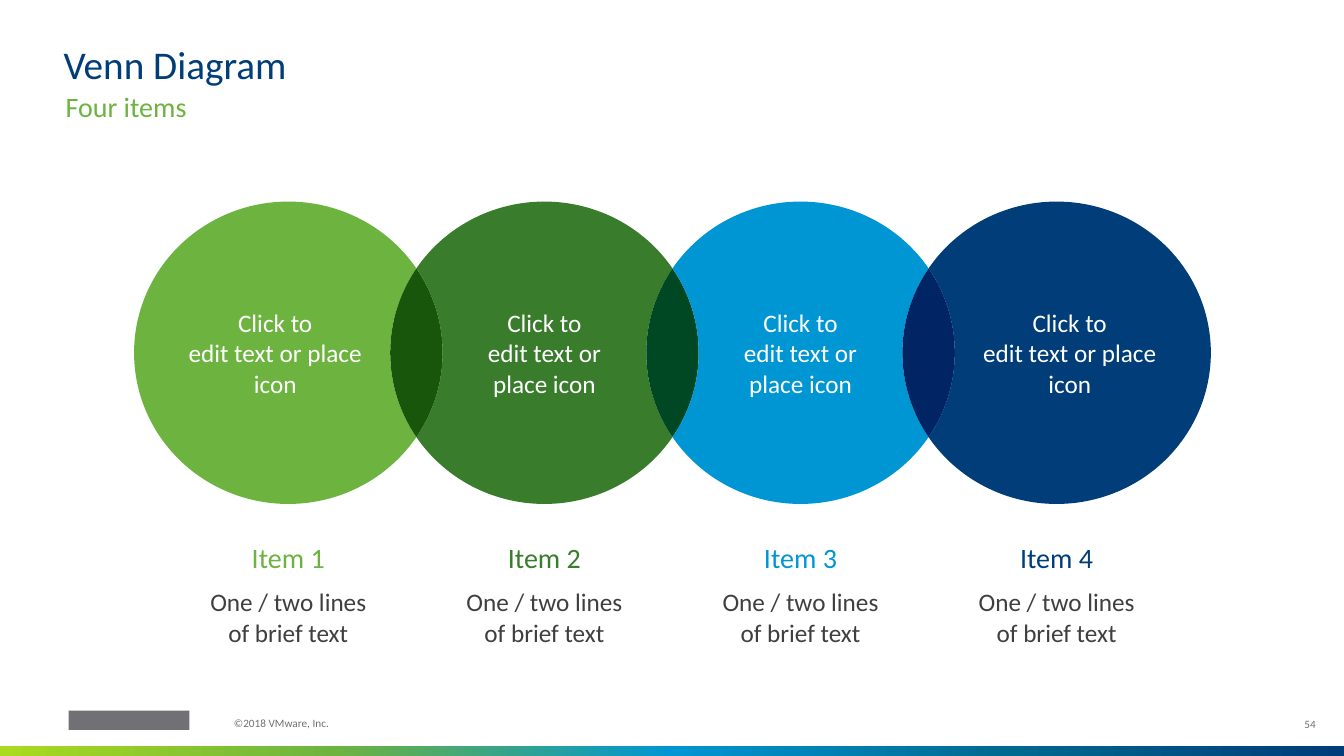
from copy import deepcopy
from math import acos, cos, pi, sin, tan

from pptx import Presentation
from pptx.dml.color import RGBColor
from pptx.enum.shapes import MSO_SHAPE as SHAPE
from pptx.enum.text import MSO_ANCHOR as ANCHOR, PP_ALIGN as ALIGN
from pptx.oxml.ns import qn
from pptx.util import Inches, Pt

# Colours
LIGHT_GREEN = RGBColor(0x6D, 0xB3, 0x3F)
DARK_GREEN = RGBColor(0x38, 0x7C, 0x2C)
BLUE = RGBColor(0x00, 0x95, 0xD3)
NAVY = RGBColor(0x00, 0x3D, 0x79)
WHITE = RGBColor(0xFF, 0xFF, 0xFF)
BODY_GRAY = RGBColor(0x3F, 0x3F, 0x3F)
FOOTER_GRAY = RGBColor(0x71, 0x70, 0x74)
BAR_STOPS = [
    (0, RGBColor(0xAA, 0xDB, 0x1E)),
    (25, LIGHT_GREEN),
    (50, BLUE),
    (75, RGBColor(0x00, 0x69, 0x90)),
    (100, NAVY),
]
OVERLAP_COLORS = [
    RGBColor(0x18, 0x57, 0x0B),
    RGBColor(0x00, 0x48, 0x24),
    RGBColor(0x00, 0x24, 0x64),
]

# Content
TITLE = "Venn Diagram"
SUBTITLE = "Four items"
CIRCLE_LINES = ["Click to", "edit text or place icon"]
BRIEF_LINES = ["One / two lines", "of brief text"]
ITEMS = [
    ("Item 1", LIGHT_GREEN),
    ("Item 2", DARK_GREEN),
    ("Item 3", BLUE),
    ("Item 4", NAVY),
]
COPYRIGHT = "©2018 VMware, Inc."
PAGE_NUMBER = "54"

# Geometry in inches
FONT = "Calibri"
FIRST_X, CENTER_Y, PITCH = 2.86, 3.5, 2.54
RADIUS_X, RADIUS_Y = 1.53, 1.5
CROSSING = acos(PITCH / 2 / RADIUS_X)
LABEL_WIDTH = 2


def write_lines(frame, lines, size, color, align=ALIGN.LEFT, anchor=ANCHOR.TOP,
                side=0, edge=0, after=0, spacing=1.0):
    frame.margin_left = frame.margin_right = Inches(side)
    frame.margin_top = frame.margin_bottom = Inches(edge)
    frame.vertical_anchor = anchor
    frame.word_wrap = True
    paragraph = frame.paragraphs[0]
    paragraph.alignment = align
    paragraph.space_after = Pt(after)
    paragraph.line_spacing = spacing
    for index, line in enumerate(lines):
        if index:
            paragraph.add_line_break()
        run = paragraph.add_run()
        run.text = line
        run.font.name = FONT
        run.font.size = Pt(size)
        run.font.color.rgb = color


def add_label(slide, box, lines, size, color, **options):
    label = slide.shapes.add_textbox(*[Inches(value) for value in box])
    write_lines(label.text_frame, lines, size, color, **options)


def add_bar(slide, box):
    bar = slide.shapes.add_shape(SHAPE.RECTANGLE, *[Inches(value) for value in box])
    bar.shadow.inherit = False
    bar.line.fill.background()
    return bar


def arc(center_x, start, end):
    """Two Bezier curves along a circle: three points each, start point left out."""
    step = (end - start) / 2
    pull = 4 / 3 * tan(step / 4)
    points = []
    for first in (start, start + step):
        last = first + step
        for x, y in [(cos(first) - pull * sin(first), sin(first) + pull * cos(first)),
                     (cos(last) + pull * sin(last), sin(last) - pull * cos(last)),
                     (cos(last), sin(last))]:
            points.append((Inches(center_x + RADIUS_X * x), Inches(CENTER_Y + RADIUS_Y * y)))
    return points


def add_outline(slide, points, color):
    """Closed curve; its last point is also its start."""
    builder = slide.shapes.build_freeform(*points[-1], scale=1.0)
    builder.add_line_segments(points, close=True)
    shape = builder.convert_to_shape()
    # Turn every three line points into one curve
    lines = list(shape._element.iter(qn("a:lnTo")))
    for index in range(0, len(lines), 3):
        curve = lines[index]
        for line in lines[index + 1:index + 3]:
            curve.append(line[0])
            line.getparent().remove(line)
        curve.tag = qn("a:cubicBezTo")
    shape.shadow.inherit = False
    shape.fill.solid()
    shape.fill.fore_color.rgb = color
    shape.line.fill.background()
    return shape


def circle_points(center_x, is_first, is_last):
    """Circle outline with the shared lenses cut away."""
    if is_last:
        right = arc(center_x, -CROSSING, CROSSING)
    else:
        right = arc(center_x + PITCH, pi + CROSSING, pi - CROSSING)
    if is_first:
        left = arc(center_x, pi - CROSSING, pi + CROSSING)
    else:
        left = arc(center_x - PITCH, CROSSING, -CROSSING)
    bottom = arc(center_x, CROSSING, pi - CROSSING)
    top = arc(center_x, pi + CROSSING, 2 * pi - CROSSING)
    return right + bottom + left + top


def add_footer(slide):
    bar = add_bar(slide, (0, 7.4, 13.33, 0.1))
    bar.fill.gradient()
    bar.fill.gradient_angle = 0
    stop_list = next(bar._element.iter(qn("a:gsLst")))
    while len(stop_list) < len(BAR_STOPS):
        stop_list.append(deepcopy(stop_list[0]))
    for stop, (percent, color) in zip(bar.fill.gradient_stops, BAR_STOPS):
        stop.position = percent / 100
        stop.color.rgb = color

    mark = add_bar(slide, (0.68, 7.05, 1.2, 0.19))
    mark.fill.solid()
    mark.fill.fore_color.rgb = FOOTER_GRAY
    add_label(slide, (2.32, 7.12, 2.15, 0.16), [COPYRIGHT], 8, FOOTER_GRAY, spacing=0.9)
    add_label(slide, (12.57, 6.99, 0.48, 0.4), [PAGE_NUMBER], 8, FOOTER_GRAY,
              align=ALIGN.RIGHT, anchor=ANCHOR.MIDDLE, spacing=0.9)


def add_heading(slide):
    title = slide.shapes.title
    title.left, title.top = Inches(0.63), Inches(0.45)
    title.width, title.height = Inches(12.03), Inches(0.42)
    write_lines(title.text_frame, [TITLE], 28, NAVY, anchor=ANCHOR.BOTTOM, spacing=0.9)
    add_label(slide, (0.65, 0.89, 11.99, 0.27), [SUBTITLE], 20, LIGHT_GREEN)


def add_venn(slide):
    last = len(ITEMS) - 1
    for index, (name, color) in enumerate(ITEMS):
        center_x = FIRST_X + index * PITCH
        # Circle and its text
        circle = add_outline(slide, circle_points(center_x, index == 0, index == last), color)
        write_lines(circle.text_frame, CIRCLE_LINES, 18, WHITE, align=ALIGN.CENTER,
                    anchor=ANCHOR.MIDDLE, side=0.5, edge=0.05, after=6)
        # Lens shared with the next circle
        if index < last:
            lens = (arc(center_x, -CROSSING, CROSSING)
                    + arc(center_x + PITCH, pi - CROSSING, pi + CROSSING))
            add_outline(slide, lens, OVERLAP_COLORS[index])
        # Labels below
        left = center_x - LABEL_WIDTH / 2
        add_label(slide, (left, 5.36, LABEL_WIDTH, 0.46), [name], 20, color,
                  align=ALIGN.CENTER, after=6)
        add_label(slide, (left, 5.82, LABEL_WIDTH, 0.73), BRIEF_LINES, 18, BODY_GRAY,
                  align=ALIGN.CENTER, after=6)


def main():
    presentation = Presentation()
    presentation.slide_width, presentation.slide_height = Inches(13.33), Inches(7.5)
    slide = presentation.slides.add_slide(presentation.slide_layouts[5])
    add_footer(slide)
    add_heading(slide)
    add_venn(slide)
    presentation.save("out.pptx")


if __name__ == "__main__":
    main()
